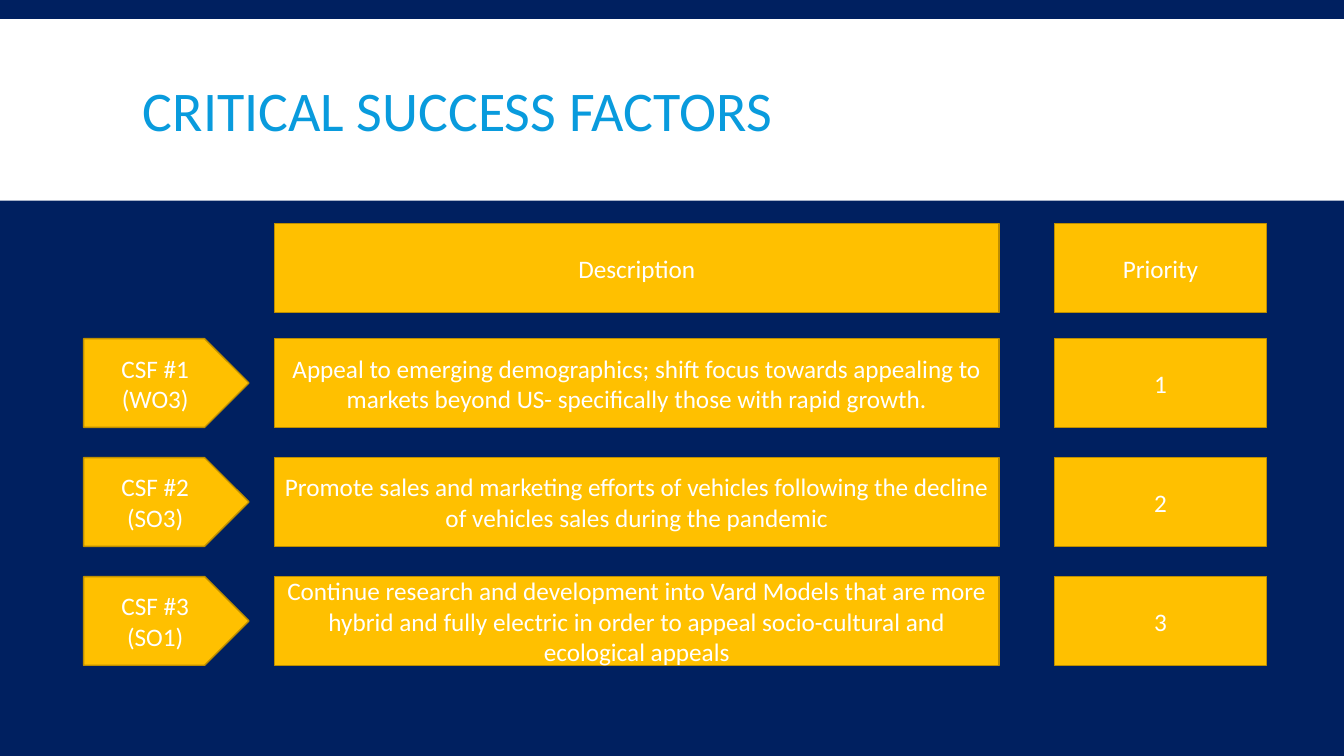
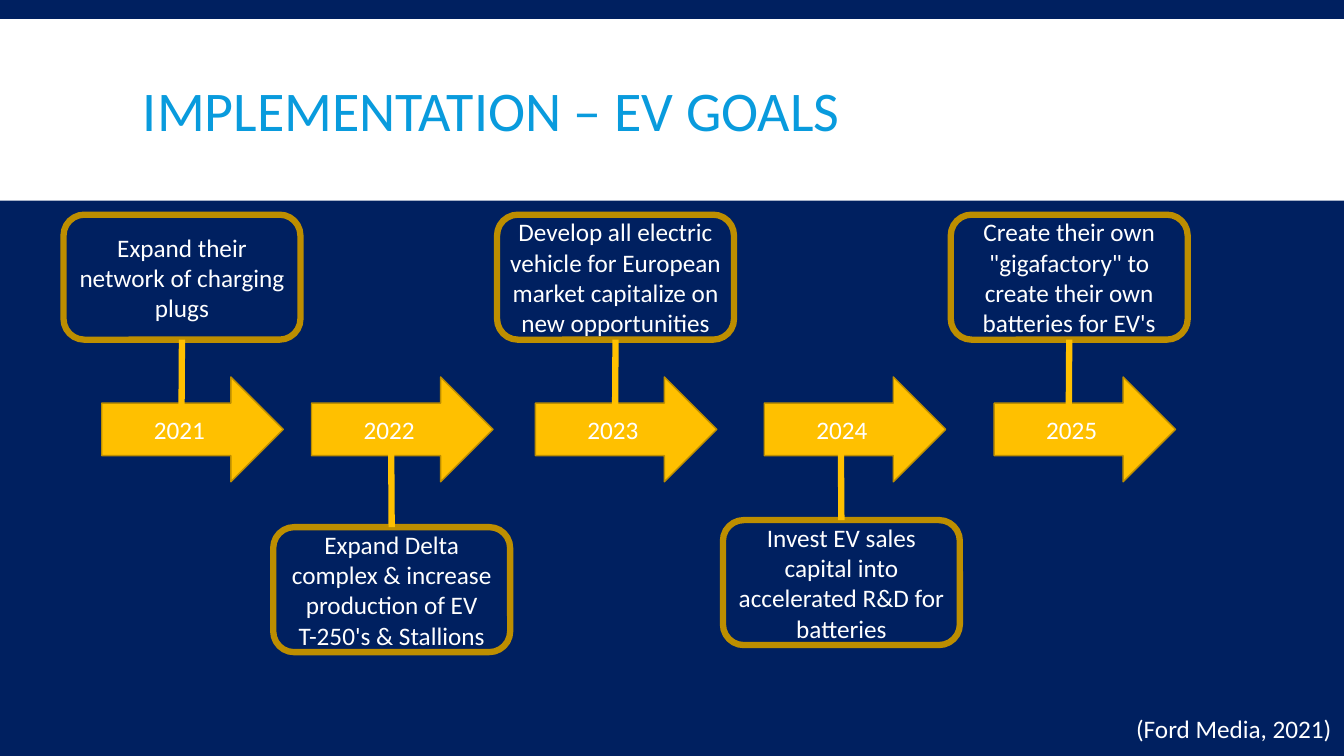
from dataclasses import dataclass

from lxml.etree import SubElement
from pptx import Presentation
from pptx.dml.color import RGBColor
from pptx.enum.shapes import MSO_CONNECTOR as Connector, MSO_SHAPE as Shape
from pptx.enum.text import MSO_ANCHOR as Anchor, PP_ALIGN as Align
from pptx.oxml.ns import qn
from pptx.util import Pt

PX = 9144  # 100 px to the inch
SLIDE_W, SLIDE_H = 1333, 750


@dataclass(frozen=True)
class Theme:
    navy: str = "002060"
    white: str = "FFFFFF"
    blue: str = "099BDD"
    gold: str = "FFC000"
    dark_gold: str = "BD8E00"
    font: str = "Calibri"
    title_size: int = 40
    body_size: int = 18
    thin: float = 1
    thick: float = 4.5


THEME = Theme()

# Content
FACTORS_TITLE = "CRITICAL SUCCESS FACTORS"
FACTOR_ROWS = [
    (None, "Description", "Priority"),
    ("CSF #1\n(WO3)",
     "Appeal to emerging demographics; shift focus towards appealing to "
     "markets beyond US- specifically those with rapid growth.", "1"),
    ("CSF #2\n(SO3)",
     "Promote sales and marketing efforts of vehicles following the decline "
     "of vehicles sales during the pandemic", "2"),
    ("CSF #3\n(SO1)",
     "Continue research and development into Vard Models that are more hybrid "
     "and fully electric in order to appeal socio-cultural and ecological appeals", "3"),
]
FACTOR_COLUMNS = [  # preset, left, width
    (Shape.PENTAGON, 83, 164),
    (Shape.RECTANGLE, 272, 719),
    (Shape.RECTANGLE, 1046, 210),
]
HEADER_TOP, FIRST_ROW_TOP, ROW_STEP, ROW_H = 222, 336, 118, 88

GOALS_TITLE = "IMPLEMENTATION – EV GOALS"
GOALS = [  # year, arrow left, box left, box top, goal
    ("2021", 101, 63, 213, "Expand their network of charging plugs"),
    ("2022", 309, 271, 523,
     "Expand Delta complex & increase production of EV T-250's & Stallions"),
    ("2023", 531, 493, 213,
     "Develop all electric vehicle for European market capitalize on new opportunities"),
    ("2024", 758, 717, 516, "Invest EV sales capital into accelerated R&D for batteries"),
    ("2025", 986, 943, 213,
     "Create their own \"gigafactory\" to create their own batteries for EV's"),
]
ARROW_TOP, ARROW_W, ARROW_H = 374, 180, 104
BOX_W, BOX_H, STEM = 235, 124, 76
SOURCE = "(Ford Media, 2021)"


def color(name):
    return RGBColor.from_string(name)


def px(*lengths):
    return [length * PX for length in lengths]


def write(shape, text, size=THEME.body_size, ink=THEME.white, align=Align.CENTER,
          anchor=Anchor.MIDDLE, spacing=None):
    frame = shape.text_frame
    frame.text = text
    frame.word_wrap = True
    frame.vertical_anchor = anchor
    for paragraph in frame.paragraphs:
        paragraph.alignment = align
        paragraph.line_spacing = spacing
        for run in paragraph.runs:
            run.font.name = THEME.font
            run.font.size = Pt(size)
            run.font.color.rgb = color(ink)


def add_box(slide, preset, at, fill=THEME.gold, line=THEME.dark_gold, weight=THEME.thin):
    shape = slide.shapes.add_shape(preset, *px(*at))
    shape.shadow.inherit = False
    if fill:
        shape.fill.solid()
        shape.fill.fore_color.rgb = color(fill)
    else:
        shape.fill.background()
    if line:
        shape.line.color.rgb = color(line)
        shape.line.width = Pt(weight)
    else:
        shape.line.fill.background()
    return shape


def add_stem(slide, box, side, start, end):
    stem = slide.shapes.add_connector(Connector.STRAIGHT, *px(*start, *end))
    stem.begin_connect(box, side)
    stem.line.color.rgb = color(THEME.gold)
    stem.line.width = Pt(THEME.thick)
    SubElement(stem._element.spPr, qn("a:effectLst"))


def add_titled_slide(presentation, title):
    slide = presentation.slides.add_slide(presentation.slide_layouts[6])
    slide.background.fill.solid()
    slide.background.fill.fore_color.rgb = color(THEME.navy)
    add_box(slide, Shape.RECTANGLE, (0, 19, SLIDE_W, 180), THEME.white, None)
    title_box = slide.shapes.add_textbox(*px(132, 31, 1070, 165))
    write(title_box, title, THEME.title_size, THEME.blue, Align.LEFT, spacing=0.85)
    return slide


def build_factors(presentation):
    slide = add_titled_slide(presentation, FACTORS_TITLE)
    for index, row in enumerate(FACTOR_ROWS):
        top = FIRST_ROW_TOP + (index - 1) * ROW_STEP if index else HEADER_TOP
        for (preset, left, width), text in zip(FACTOR_COLUMNS, row):
            if text:
                write(add_box(slide, preset, (left, top, width, ROW_H)), text)


def build_goals(presentation):
    slide = add_titled_slide(presentation, GOALS_TITLE)
    for year, arrow_left, box_left, box_top, goal in GOALS:
        arrow = add_box(slide, Shape.RIGHT_ARROW, (arrow_left, ARROW_TOP, ARROW_W, ARROW_H))
        write(arrow, year)

        # Goal box, above or below the arrow
        box = add_box(slide, Shape.ROUNDED_RECTANGLE, (box_left, box_top, BOX_W, BOX_H),
                      None, THEME.dark_gold, THEME.thick)
        frame = box.text_frame
        frame.margin_left = frame.margin_right = 4 * PX
        frame.margin_top = frame.margin_bottom = 0
        write(box, goal)

        # Stem from the box into the arrow
        center = box_left + BOX_W // 2
        if box_top < ARROW_TOP:
            side, edge, tip = 2, box_top + BOX_H, box_top + BOX_H + STEM
        else:
            side, edge, tip = 0, box_top, box_top - STEM
        add_stem(slide, box, side, (center, edge), (center, tip))

    source_box = slide.shapes.add_textbox(*px(1117, 703, 216, 40))
    write(source_box, SOURCE, align=Align.LEFT, anchor=Anchor.TOP)


def main():
    presentation = Presentation()
    presentation.slide_width, presentation.slide_height = px(SLIDE_W, SLIDE_H)
    build_factors(presentation)
    build_goals(presentation)
    presentation.save("out.pptx")


if __name__ == "__main__":
    main()
